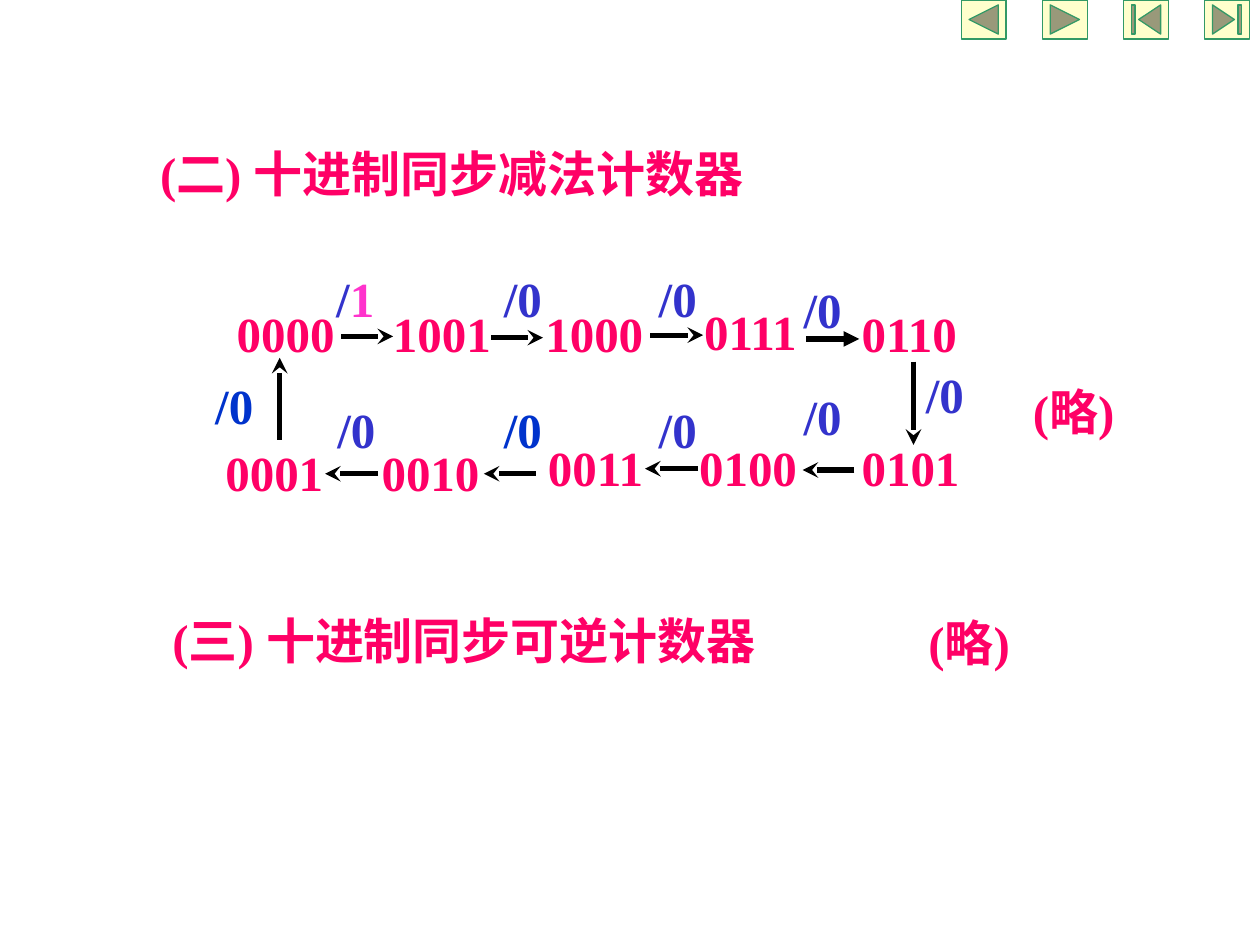
from dataclasses import dataclass
from lxml.etree import SubElement
from pptx import Presentation
from pptx.dml.color import RGBColor
from pptx.enum.shapes import MSO_CONNECTOR, MSO_SHAPE
from pptx.enum.text import MSO_ANCHOR, MSO_AUTO_SIZE, PP_ALIGN
from pptx.oxml.ns import qn
from pptx.slide import Slide
from pptx.util import Inches, Pt

PINK, BLUE, DARK_BLUE, MAGENTA = "FF0066", "3333CC", "0033CC", "FF33CC"
BLACK, CREAM, GREEN = "000000", "FFFFCC", "339966"
COLUMNS, ROWS = 100, 75
TEXT_HEIGHT = 5.7


def color(value):
    return RGBColor.from_string(value)


@dataclass
class SlideBuilder:
    slide: Slide
    width: int
    height: int
    font: str = "Times New Roman"
    size: int = 28

    def __post_init__(self):
        self.shapes = self.slide.shapes

    def start_group(self):
        self.shapes = self.slide.shapes.add_group_shape().shapes

    def end_group(self):
        self.shapes = self.slide.shapes

    def place(self, column, row):
        return round(self.width * column / COLUMNS), round(self.height * row / ROWS)

    def add_runs(self, shape, runs, wrap=True):
        frame = shape.text_frame
        frame.word_wrap = wrap
        frame.auto_size = MSO_AUTO_SIZE.SHAPE_TO_FIT_TEXT
        frame.vertical_anchor = MSO_ANCHOR.TOP
        paragraph = frame.paragraphs[0]
        paragraph.alignment = PP_ALIGN.LEFT
        for text, run_color in runs:
            run = paragraph.add_run()
            run.text = text
            run.font.name = self.font
            run.font.size = Pt(self.size)
            run.font.bold = True
            run.font.color.rgb = color(run_color)

    def title(self, text, column, row, columns):
        shape = self.slide.shapes.title
        shape.left, shape.top = self.place(column, row)
        shape.width, shape.height = self.place(columns, TEXT_HEIGHT)
        self.add_runs(shape, [(text, PINK)])

    def text(self, runs, column, row, columns, wrap=True):
        box = self.shapes.add_textbox(
            *self.place(column, row), *self.place(columns, TEXT_HEIGHT))
        self.add_runs(box, runs, wrap)

    def arrow(self, start, end, head="stealth"):
        connector = self.shapes.add_connector(
            MSO_CONNECTOR.STRAIGHT, *self.place(*start), *self.place(*end))
        connector.line.color.rgb = color(BLACK)
        connector.line.width = Pt(3)
        properties = connector._element.spPr
        SubElement(properties.find(qn("a:ln")), qn("a:tailEnd"), type=head)
        SubElement(properties, qn("a:effectLst"))

    def button(self, kind, column):
        shape = self.shapes.add_shape(
            kind, *self.place(column, 0), *self.place(3.55, 3.1))
        shape.shadow.inherit = False
        shape.fill.solid()
        shape.fill.fore_color.rgb = color(CREAM)
        shape.line.color.rgb = color(GREEN)
        shape.line.width = Pt(0.75)


STATES = [
    ("0000", 17.8, 23.6, 11.9), ("1001", 30.2, 23.6, 12.8),
    ("1000", 42.3, 23.6, 11.9), ("0111", 54.9, 23.4, 12.3),
    ("0110", 67.4, 23.6, 13), ("0101", 67.4, 34.2, 13),
    ("0100", 54.5, 34.2, 12.1), ("0011", 42.5, 34.2, 10.6),
    ("0010", 29.3, 34.6, 12.1), ("0001", 16.9, 34.6, 12.8),
]
ARROWS = [
    ((27.1, 26.7), (31.2, 26.7)), ((39, 26.8), (43.1, 26.8)),
    ((51.6, 26.6), (55.8, 26.6)), ((64, 26.9), (68.2, 26.9), "triangle"),
    ((72.5, 28.7), (72.5, 35.3)), ((67.8, 37.3), (63.7, 37.3)),
    ((55.4, 37.2), (51.2, 37.2)), ((42.5, 37.6), (38.4, 37.6)),
    ((30, 37.6), (25.8, 37.6)), ((22.2, 34.9), (22.2, 28.4)),
]
OUTPUTS = [
    ([("/", BLUE), ("1", MAGENTA)], 25.7, 20.8),
    ([("/0", BLUE)], 39, 20.8), ([("/0", BLUE)], 51.3, 20.8),
    ([("/0", BLUE)], 62.8, 21.7), ([("/0", BLUE)], 72.5, 28.4),
    ([("/0", BLUE)], 62.8, 30.2), ([("/0", BLUE)], 51.3, 31.2),
    ([("/0", DARK_BLUE)], 39, 31.2), ([("/0", BLUE)], 25.8, 31.2),
    ([("/0", DARK_BLUE)], 16.1, 29.3),
]
BUTTONS = [
    MSO_SHAPE.ACTION_BUTTON_BACK_OR_PREVIOUS,
    MSO_SHAPE.ACTION_BUTTON_FORWARD_OR_NEXT,
    MSO_SHAPE.ACTION_BUTTON_BEGINNING,
    MSO_SHAPE.ACTION_BUTTON_END,
]


def main():
    presentation = Presentation()
    presentation.slide_width = Inches(10)
    presentation.slide_height = Inches(7.5)
    slide = presentation.slides.add_slide(presentation.slide_layouts[5])
    builder = SlideBuilder(
        slide, presentation.slide_width, presentation.slide_height)

    builder.title("(二) 十进制同步减法计数器", 11.7, 10.9, 58)

    builder.start_group()
    for arrow in ARROWS:
        builder.arrow(*arrow)
    for state, column, row, columns in STATES:
        builder.text([(state, PINK)], column, row, columns)
    for runs, column, row in OUTPUTS:
        builder.text(runs, column, row, 5, wrap=False)
    builder.end_group()

    builder.text([("(略)", PINK)], 81, 29.8, 11.4)
    builder.text([("(三) 十进制同步可逆计数器", PINK)], 12.7, 48, 58.2)
    builder.text([("(略)", PINK)], 72.7, 48.1, 14.4)

    for index, kind in enumerate(BUTTONS):
        builder.button(kind, 76.3 + 6.44 * index)

    presentation.save("out.pptx")


if __name__ == "__main__":
    main()
